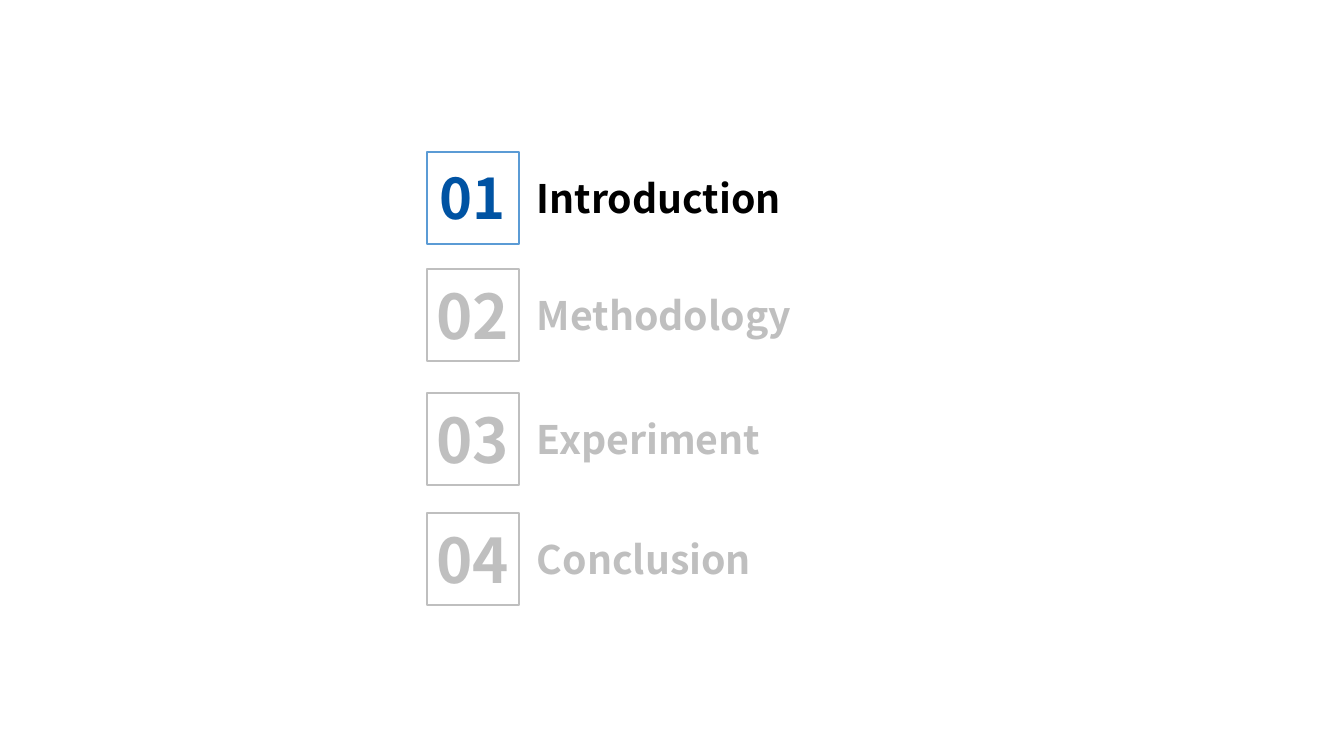
import pptx
import pptx.dml.color
import pptx.enum.shapes
import pptx.enum.text
import pptx.util

PX = 914400 / 100.8
FONT = "Noto Sans CJK SC"
COLORS = {"number": "0053A3", "label": "000000", "frame": "5B9BD5", "muted": "BFBFBF"}
SIDE = 92
SECTIONS = [
    ("Introduction", 152, 275),
    ("Methodology", 269, 298),
    ("Experiment", 393, 393),
    ("Conclusion", 513, 248),
]


def emu(*lengths):
    return [pptx.util.Emu(round(n * PX)) for n in lengths]


def color(name):
    return pptx.dml.color.RGBColor.from_string(COLORS[name])


def add_text(s, box, text, size, color_name, align):
    tf = s.shapes.add_textbox(*emu(*box)).text_frame
    tf.word_wrap = True
    tf.vertical_anchor = pptx.enum.text.MSO_ANCHOR.MIDDLE
    p = tf.paragraphs[0]
    p.text = text
    p.alignment = align
    p.font.name = FONT
    p.font.size = pptx.util.Pt(size)
    p.font.bold = True
    p.font.color.rgb = color(color_name)


def add_section(s, x, y, label_width, number, label, active):
    align = pptx.enum.text.PP_ALIGN
    add_text(s, (x + 100, y + 17, label_width, 57), label, 28,
             "label" if active else "muted", align.LEFT)
    add_text(s, (x - 4, y + 3, SIDE + 8, 85), f"{number:02}", 40 if active else 44,
             "number" if active else "muted", align.CENTER)
    frame = s.shapes.add_shape(pptx.enum.shapes.MSO_SHAPE.RECTANGLE, *emu(x, y, SIDE, SIDE))
    frame.shadow.inherit = False
    frame.fill.background()
    frame.line.color.rgb = color("frame" if active else "muted")
    frame.line.width = pptx.util.Pt(1)


def add_agenda(prs, x, current):
    s = prs.slides.add_slide(prs.slide_layouts[6])
    for number, (label, y, label_width) in enumerate(SECTIONS, 1):
        add_section(s, x, y, label_width, number, label, number == current)


def main():
    prs = pptx.Presentation()
    prs.slide_width, prs.slide_height = emu(1344, 756)
    add_agenda(prs, 427, 1)
    prs.save("out.pptx")


if __name__ == "__main__":
    main()
